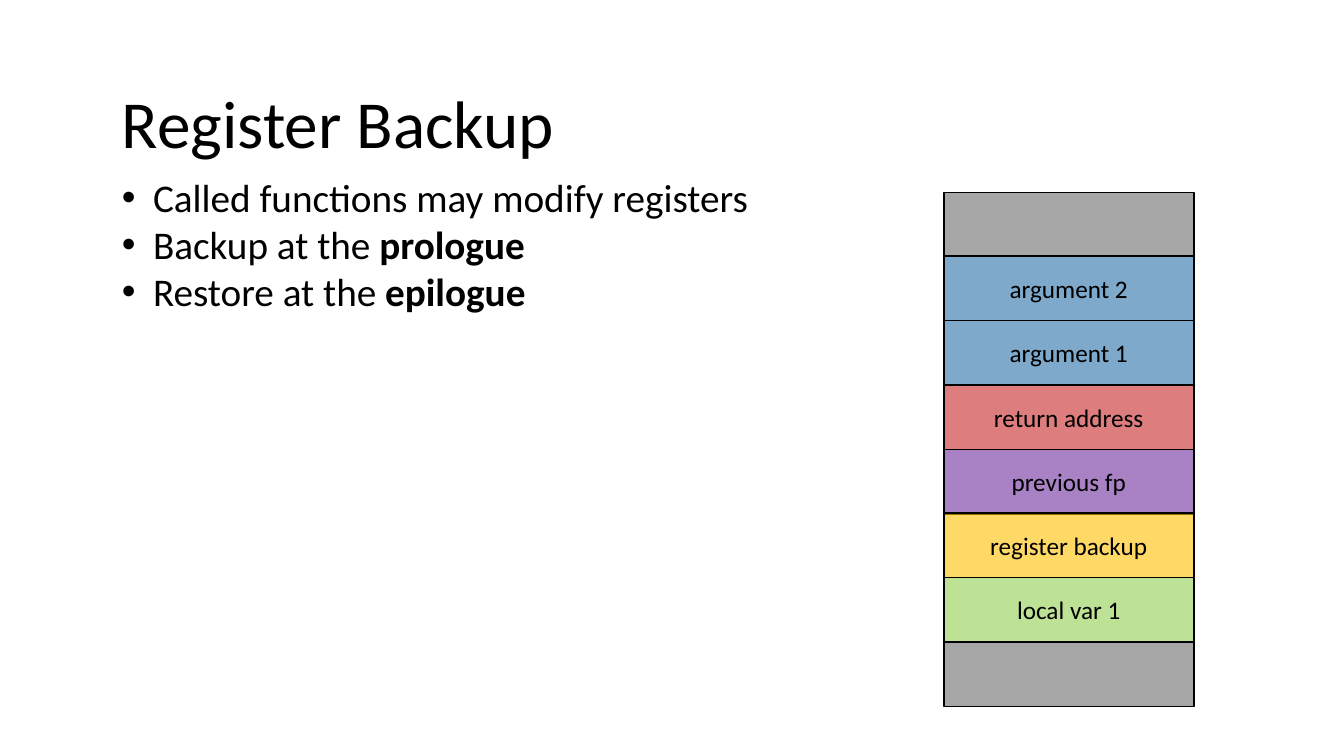
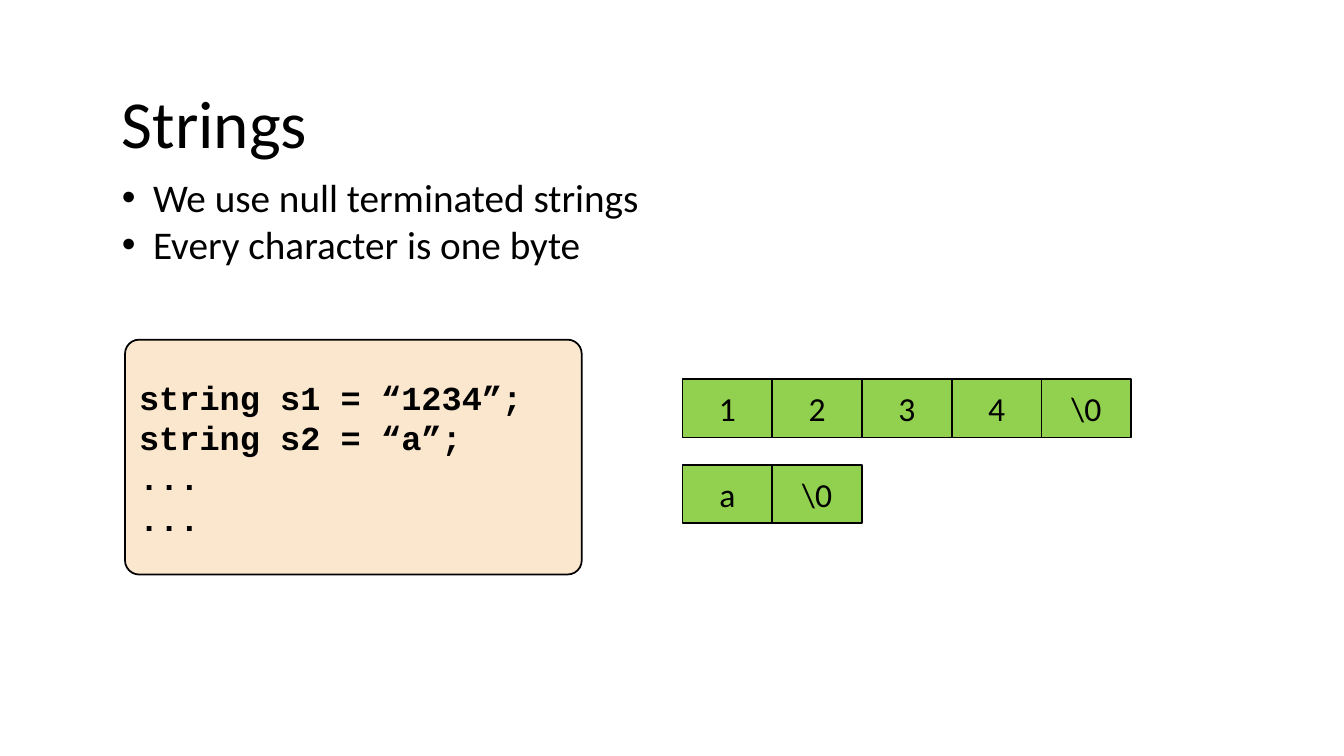
"""Build two lecture slides: register backup on the stack, and null terminated strings."""
from dataclasses import dataclass

from lxml import etree
from pptx import Presentation
from pptx.dml.color import RGBColor
from pptx.enum.shapes import MSO_SHAPE
from pptx.enum.text import MSO_ANCHOR, MSO_AUTO_SIZE, PP_ALIGN
from pptx.oxml.ns import qn
from pptx.util import Pt

RECT, ROUNDED = MSO_SHAPE.RECTANGLE, MSO_SHAPE.ROUNDED_RECTANGLE
LEFT, CENTER = PP_ALIGN.LEFT, PP_ALIGN.CENTER
TOP, MIDDLE = MSO_ANCHOR.TOP, MSO_ANCHOR.MIDDLE
FIT_TEXT = MSO_AUTO_SIZE.SHAPE_TO_FIT_TEXT
PX = 9144


@dataclass(frozen=True)
class Theme:
    ink: str = "000000"
    unused: str = "A6A6A6"
    argument: str = "7EA9CA"
    address: str = "C00000"
    frame: str = "7030A0"
    backup: str = "FFC000"
    green: str = "92D050"
    code: str = "FBE6CE"
    sans: str = "Calibri"
    mono: str = "Courier New"
    title_size: int = 48
    body_size: int = 28
    char_size: int = 24
    label_size: int = 18
    outline: float = 1.25
    indent: int = 31


THEME = Theme()


def write(shape, text, *, size, font=THEME.sans, bold=False, align=LEFT, anchor=TOP, bullet=False):
    frame = shape.text_frame
    frame.word_wrap = True
    frame.vertical_anchor = anchor
    for number, line in enumerate(text.split("\n")):
        paragraph = frame.add_paragraph() if number else frame.paragraphs[0]
        if bullet:
            properties = paragraph._p.get_or_add_pPr()
            properties.set("marL", str(THEME.indent * PX))
            properties.set("indent", str(-THEME.indent * PX))
            etree.SubElement(properties, qn("a:buFont")).set("typeface", "Arial")
            etree.SubElement(properties, qn("a:buChar")).set("char", "•")
        paragraph.alignment = align
        for part, words in enumerate(line.split("**")):
            if words:
                run = paragraph.add_run()
                run.text = words
                run.font.name = font
                run.font.size = Pt(size)
                run.font.bold = bold or part % 2 == 1
                run.font.color.rgb = RGBColor.from_string(THEME.ink)


def add_box(shapes, left, top, width, height, color, *, opacity=100, preset=RECT):
    box = shapes.add_shape(preset, left * PX, top * PX, width * PX, height * PX)
    box.shadow.inherit = False
    box.fill.solid()
    box.fill.fore_color.rgb = RGBColor.from_string(color)
    if opacity < 100:
        tint = box._element.spPr.find(qn("a:solidFill"))[0]
        etree.SubElement(tint, qn("a:alpha")).set("val", str(opacity * 1000))
    box.line.color.rgb = RGBColor.from_string(THEME.ink)
    box.line.width = Pt(THEME.outline)
    return box


deck = Presentation()
deck.slide_width, deck.slide_height = 1333 * PX, 750 * PX

PAGES = [
    ("Register Backup", 151,
     "Called functions may modify registers\nBackup at the **prologue**\nRestore at the **epilogue**"),
    ("Strings", 104, "We use null terminated strings\nEvery character is one byte"),
]
slides = []
for heading, points_height, points in PAGES:
    slide = deck.slides.add_slide(deck.slide_layouts[6])
    title = slide.shapes.add_textbox(111 * PX, 76 * PX, 1109 * PX, 91 * PX)
    write(title, heading, size=THEME.title_size)
    body = slide.shapes.add_textbox(111 * PX, 167 * PX, 1127 * PX, points_height * PX)
    write(body, points, size=THEME.body_size, bullet=True)
    title.text_frame.auto_size = body.text_frame.auto_size = FIT_TEXT
    slides.append(slide)
backup_slide, strings_slide = slides

STACK_TOP, STACK_HEIGHT = 191, 510
STACK = [
    ("", THEME.unused, 100),
    ("argument 2", THEME.argument, 100),
    ("argument 1", THEME.argument, 100),
    ("return address", THEME.address, 51),
    ("previous fp", THEME.frame, 60),
    ("register backup", THEME.backup, 60),
    ("local var 1", THEME.green, 60),
    ("", THEME.unused, 100),
]
stack = backup_slide.shapes.add_group_shape()
for row, (label, color, opacity) in enumerate(STACK):
    row_top = STACK_TOP + STACK_HEIGHT * row // len(STACK)
    entry = add_box(stack.shapes, 936, row_top, 248, 64, color, opacity=opacity)
    write(entry, label, size=THEME.label_size, align=CENTER, anchor=MIDDLE)

code = add_box(strings_slide.shapes, 124, 337, 453, 233, THEME.code, preset=ROUNDED)
code.adjustments[0] = 0.06
write(code, "string s1 = “1234”;\nstring s2 = “a”;\n...\n...",
      size=THEME.char_size, font=THEME.mono, bold=True, anchor=MIDDLE)

CHAR_WIDTH = 89
for string_top, characters in [(376, ["1", "2", "3", "4", "\\0"]), (461, ["a", "\\0"])]:
    string = strings_slide.shapes.add_group_shape()
    for column, character in enumerate(characters):
        cell = add_box(string.shapes, 677 + column * CHAR_WIDTH, string_top, CHAR_WIDTH, 58, THEME.green)
        write(cell, character, size=THEME.char_size, align=CENTER, anchor=MIDDLE)

deck.save("out.pptx")
